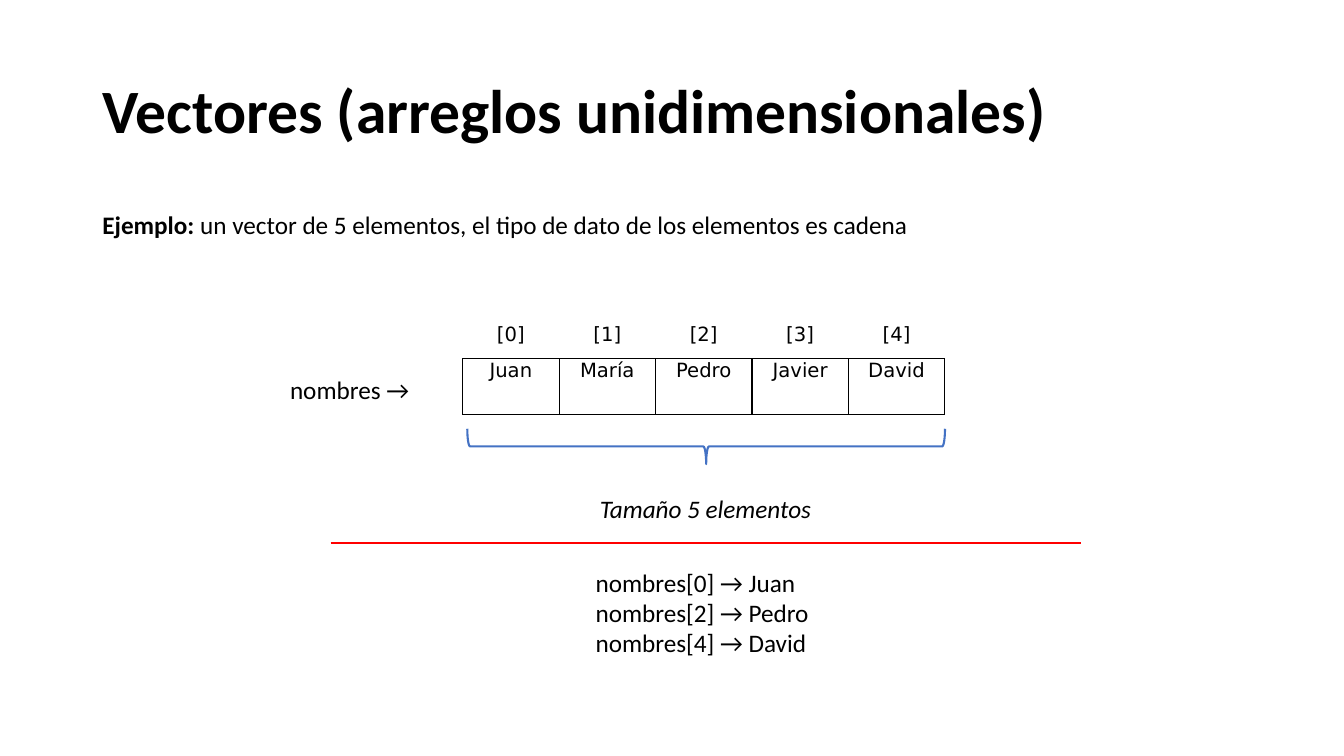
from lxml import etree
from pptx import Presentation
from pptx.dml.color import RGBColor
from pptx.enum.shapes import MSO_CONNECTOR, MSO_SHAPE
from pptx.enum.text import MSO_ANCHOR, PP_ALIGN
from pptx.oxml import parse_xml
from pptx.oxml.ns import nsdecls, qn
from pptx.util import Cm, Pt

STRAIGHT = MSO_CONNECTOR.STRAIGHT
RIGHT_BRACE = MSO_SHAPE.RIGHT_BRACE
MIDDLE = MSO_ANCHOR.MIDDLE
TOP = MSO_ANCHOR.TOP
CENTER = PP_ALIGN.CENTER
LEFT = PP_ALIGN.LEFT
BLACK = RGBColor(0x00, 0x00, 0x00)
BLUE = RGBColor(0x44, 0x72, 0xC4)
RED = RGBColor(0xFF, 0x00, 0x00)
BODY_FONT = "Calibri"
TABLE_FONT = "DejaVu Sans"
NAMES = ["Juan", "María", "Pedro", "Javier", "David"]
SHOWN_INDEXES = [0, 2, 4]


def set_font(font, name, size, bold=None, italic=None):
    """Apply a typeface and style in black."""
    font.name = name
    font.size = Pt(size)
    font.bold = bold
    font.italic = italic
    font.color.rgb = BLACK


def add_text(slide, lines, box, size=18, bold=None, italic=None, align=LEFT, anchor=TOP):
    """Add a text box with one paragraph per line and return its paragraphs."""
    frame = slide.shapes.add_textbox(*map(Cm, box)).text_frame
    frame.word_wrap = True
    frame.vertical_anchor = anchor
    frame.text = "\n".join(lines)
    for paragraph in frame.paragraphs:
        paragraph.alignment = align
        set_font(paragraph.font, BODY_FONT, size, bold, italic)
    return frame.paragraphs


def add_borders(cell, sides):
    """Draw thin black borders on the given sides of a cell."""
    properties = cell._tc.get_or_add_tcPr()
    for side in sides:
        properties.append(parse_xml(
            f'<a:ln{side} {nsdecls("a")} w="{Pt(1)}"><a:solidFill>'
            f'<a:srgbClr val="{BLACK}"/></a:solidFill></a:ln{side}>'))


def fill_cell(cell, text, sides):
    """Write centred text in an unfilled, bordered cell."""
    cell.text = text
    cell.margin_left = cell.margin_right = Cm(0.18)
    cell.margin_top = cell.margin_bottom = 0
    paragraph = cell.text_frame.paragraphs[0]
    paragraph.alignment = CENTER
    paragraph.space_before = paragraph.space_after = Pt(1)
    set_font(paragraph.font, TABLE_FONT, 14)
    add_borders(cell, sides)
    cell.fill.background()


def add_vector(slide):
    """Add the table of indexes above their boxed names."""
    box = map(Cm, (11.66, 8.15, 12.15, 2.29))
    table = slide.shapes.add_table(2, len(NAMES), *box).table
    table.first_row = table.horz_banding = False
    table.rows[0].height = Cm(0.89)
    table.rows[1].height = Cm(1.4)
    for index, name in enumerate(NAMES):
        table.columns[index].width = Cm(2.43)
        fill_cell(table.cell(0, index), f"[{index}]", "B")
        fill_cell(table.cell(1, index), name, "LRTB")


def add_brace(slide):
    """Add the brace that spans the vector from below."""
    brace = slide.shapes.add_shape(RIGHT_BRACE, *map(Cm, (17.35, 5.23, 0.89, 12.04)))
    brace.rotation = 90
    brace.adjustments[0] = 0.08
    brace.adjustments[1] = 0.5
    brace.shadow.inherit = False
    brace.fill.background()
    brace.line.color.rgb = BLUE
    brace.line.width = Pt(1.5)


def add_separator(slide):
    """Add the red horizontal line."""
    line = slide.shapes.add_connector(STRAIGHT, *map(Cm, (8.33, 13.69, 27.23, 13.69)))
    line.line.color.rgb = RED
    line.line.width = Pt(1.5)
    etree.SubElement(line._element.spPr, qn("a:effectLst"))


def main():
    """Build and save the slide."""
    presentation = Presentation()
    presentation.slide_width = Cm(33.87)
    presentation.slide_height = Cm(19.05)
    slide = presentation.slides.add_slide(presentation.slide_layouts[6])

    title = add_text(slide, ["Vectores (arreglos unidimensionales)"],
                     (2.33, 1.02, 29.21, 3.68), size=44, bold=True, anchor=MIDDLE)
    title[0].line_spacing = 0.9
    example = add_text(slide, ["Ejemplo: "], (2.33, 5.16, 22.48, 1.02))[0]
    example.runs[0].font.bold = True
    example.add_run().text = (
        "un vector de 5 elementos, el tipo de dato de los elementos es cadena")

    add_vector(slide)
    add_text(slide, ["nombres →"], (7.06, 9.3, 4.37, 1.02))
    add_brace(slide)
    add_text(slide, ["Tamaño 5 elementos"], (12.27, 12.3, 11.02, 1.02),
             italic=True, align=CENTER)
    add_separator(slide)
    add_text(slide, [f"nombres[{index}] → {NAMES[index]}" for index in SHOWN_INDEXES],
             (14.76, 14.17, 5.94, 2.57))
    presentation.save("out.pptx")


if __name__ == "__main__":
    main()
